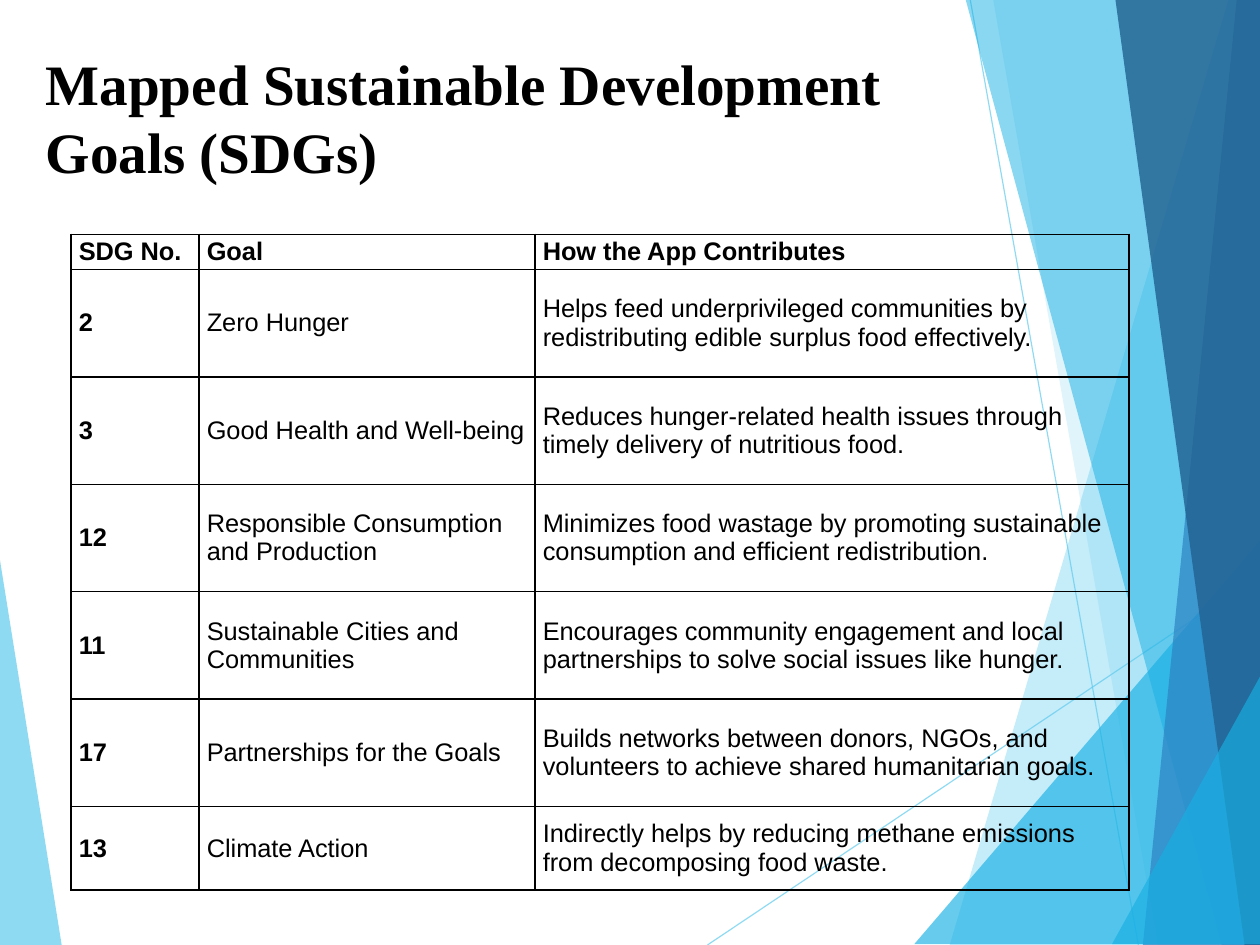
from dataclasses import dataclass

from lxml.etree import SubElement
from pptx import Presentation
from pptx.dml.color import RGBColor
from pptx.enum.shapes import MSO_CONNECTOR
from pptx.enum.text import MSO_ANCHOR, MSO_AUTO_SIZE, PP_ALIGN
from pptx.oxml.ns import qn
from pptx.util import Inches, Pt


@dataclass(frozen=True)
class Theme:
    ink: str = "000000"
    sky: str = "5FCBEF"
    cyan: str = "17B0E4"
    blue: str = "2E83C3"
    navy: str = "236292"
    title_font: str = "Times New Roman"
    table_font: str = "Arial"
    title_size: int = 36
    table_size: int = 16


theme = Theme()


def set_opacity(shape, percent):
    for color in shape._element.spPr.iter(qn("a:srgbClr")):
        SubElement(color, qn("a:alpha"), val=str(percent * 1000))


def add_span(para, text, font_name, size, bold):
    span = para.add_run()
    span.text = text
    span.font.name = font_name
    span.font.size = Pt(size)
    span.font.bold = bold
    span.font.color.rgb = RGBColor.from_string(theme.ink)


# The page is 28 by 21 cm, a size that is exact in quarter points
deck = Presentation()
deck.slide_width, deck.slide_height = Pt(793.75), Pt(595.25)
WIDTH, HEIGHT = deck.slide_width.inches, deck.slide_height.inches
page = deck.slides.add_slide(deck.slide_layouts[5])

# Thin lines behind the facets
for start_x, start_y, end_x, end_y in [(6.19, HEIGHT, WIDTH, 5.03), (8.49, 0, 9.96, HEIGHT)]:
    line = page.shapes.add_connector(
        MSO_CONNECTOR.STRAIGHT, Inches(start_x), Inches(start_y), Inches(end_x), Inches(end_y))
    line.line.color.rgb = RGBColor.from_string(theme.sky)
    line.line.width = Pt(0.75)
    set_opacity(line, 70)
    SubElement(line._element.spPr, qn("a:effectLst"))

# Translucent facets: colour, opacity, corners
top_right, bottom_right = (WIDTH, 0), (WIDTH, HEIGHT)
facets = [
    (theme.sky, 70, [(0, 4.9), (0.54, HEIGHT), (0, HEIGHT)]),
    (theme.sky, 36, [(10.75, 0), (8.31, HEIGHT), bottom_right, top_right]),
    (theme.sky, 20, [(8.69, 0), (10.13, HEIGHT), bottom_right, top_right]),
    (theme.cyan, 65, [(8, 8.26), (WIDTH, 4.73), (WIDTH, 8.26)]),
    (theme.cyan, 50, [(8.45, 0), (10.69, HEIGHT), bottom_right, top_right]),
    (theme.blue, 70, [(10.82, 0), (10, HEIGHT), bottom_right, top_right]),
    (theme.navy, 82, [(9.76, 0), (10.89, HEIGHT), bottom_right, top_right]),
    (theme.cyan, 65, [(9.73, 8.26), (WIDTH, 5.92), (WIDTH, 8.26)]),
]
for color, opacity, corners in facets:
    points = [(Inches(x), Inches(y)) for x, y in corners]
    outline = page.shapes.build_freeform(*points[0])
    outline.add_line_segments(points[1:], close=True)
    facet = outline.convert_to_shape()
    facet.shadow.inherit = False
    facet.fill.solid()
    facet.fill.fore_color.rgb = RGBColor.from_string(color)
    facet.line.fill.background()
    set_opacity(facet, opacity)

# Title
title = page.shapes.title
title.left, title.top = Inches(0.3), Inches(0.37)
title.width, title.height = Inches(8.52), Inches(1.59)
frame = title.text_frame
frame.word_wrap = True
frame.auto_size = MSO_AUTO_SIZE.NONE
frame.vertical_anchor = MSO_ANCHOR.TOP
para = frame.paragraphs[0]
para.alignment = PP_ALIGN.LEFT
add_span(para, "Mapped Sustainable Development Goals (SDGs)",
         theme.title_font, theme.title_size, True)

# Table of goals
goals = [
    ("SDG No.", "Goal", "How the App Contributes"),
    ("2", "Zero Hunger",
     "Helps feed underprivileged communities by redistributing edible surplus food effectively."),
    ("3", "Good Health and Well-being",
     "Reduces hunger-related health issues through timely delivery of nutritious food."),
    ("12", "Responsible Consumption and Production",
     "Minimizes food wastage by promoting sustainable consumption and efficient redistribution."),
    ("11", "Sustainable Cities and Communities",
     "Encourages community engagement and local partnerships to solve social issues like hunger."),
    ("17", "Partnerships for the Goals",
     "Builds networks between donors, NGOs, and volunteers to achieve shared humanitarian goals."),
    ("13", "Climate Action",
     "Indirectly helps by reducing methane emissions from decomposing food waste."),
]
column_widths = [1.12, 2.94, 5.2]
row_heights = [0.3] + [0.94] * 5 + [0.73]
table = page.shapes.add_table(
    len(goals), len(column_widths), Inches(0.62), Inches(2.05),
    Inches(sum(column_widths)), Inches(sum(row_heights))).table
table.first_row = table.horz_banding = False
for column, width in zip(table.columns, column_widths):
    column.width = Inches(width)
for row, height in zip(table.rows, row_heights):
    row.height = Inches(height)

for row_index, goal in enumerate(goals):
    for column_index, text in enumerate(goal):
        cell = table.cell(row_index, column_index)
        cell.vertical_anchor = MSO_ANCHOR.MIDDLE
        cell.margin_left = cell.margin_right = Inches(0.07)
        cell.margin_top = cell.margin_bottom = Inches(0.03)
        for side in ("a:lnL", "a:lnR", "a:lnT", "a:lnB"):
            border = SubElement(cell._tc.get_or_add_tcPr(), qn(side), w=str(Pt(1)))
            fill = SubElement(border, qn("a:solidFill"))
            SubElement(fill, qn("a:srgbClr"), val=theme.ink)
        cell.fill.background()
        add_span(cell.text_frame.paragraphs[0], text, theme.table_font, theme.table_size,
                 row_index == 0 or column_index == 0)

deck.save("out.pptx")
